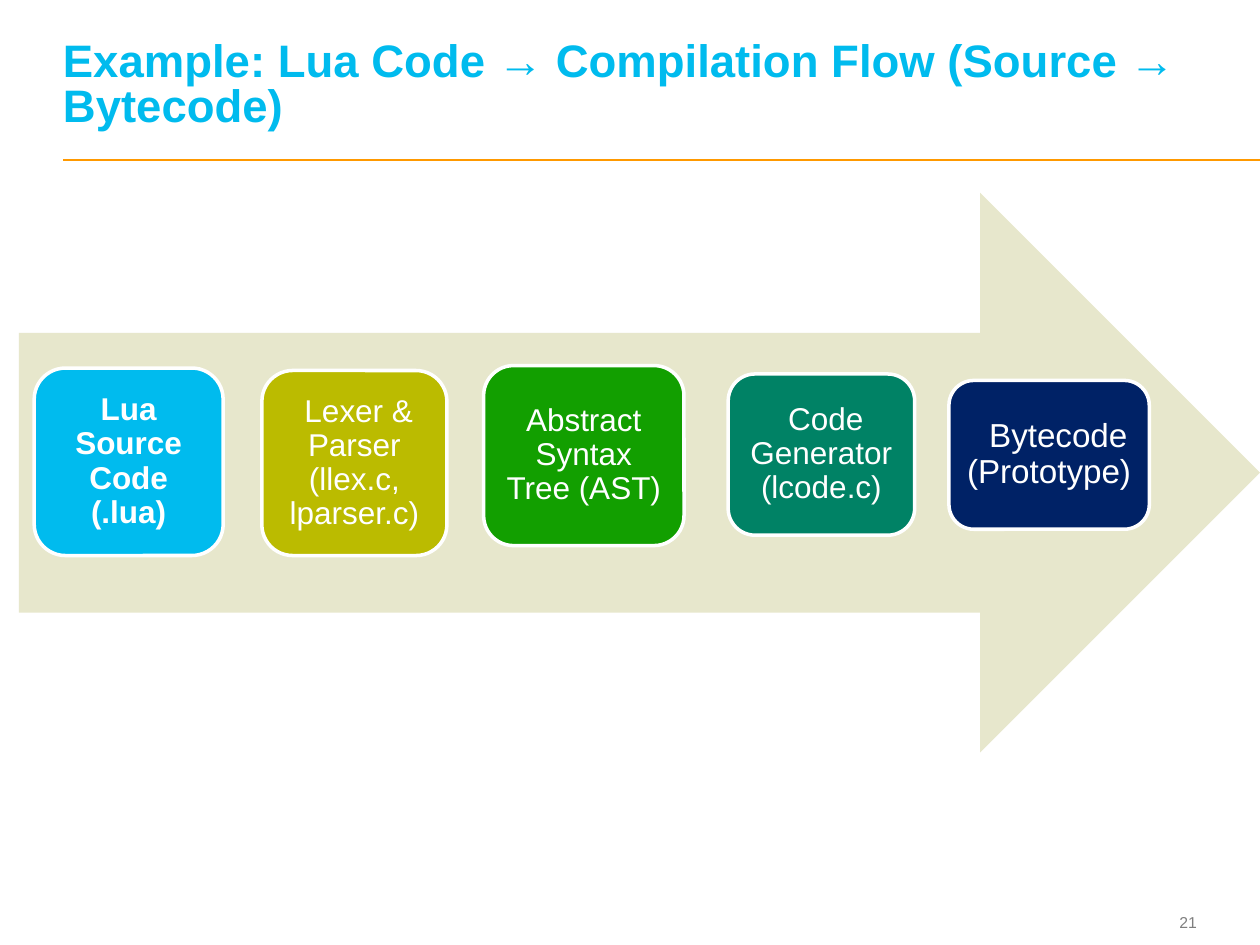
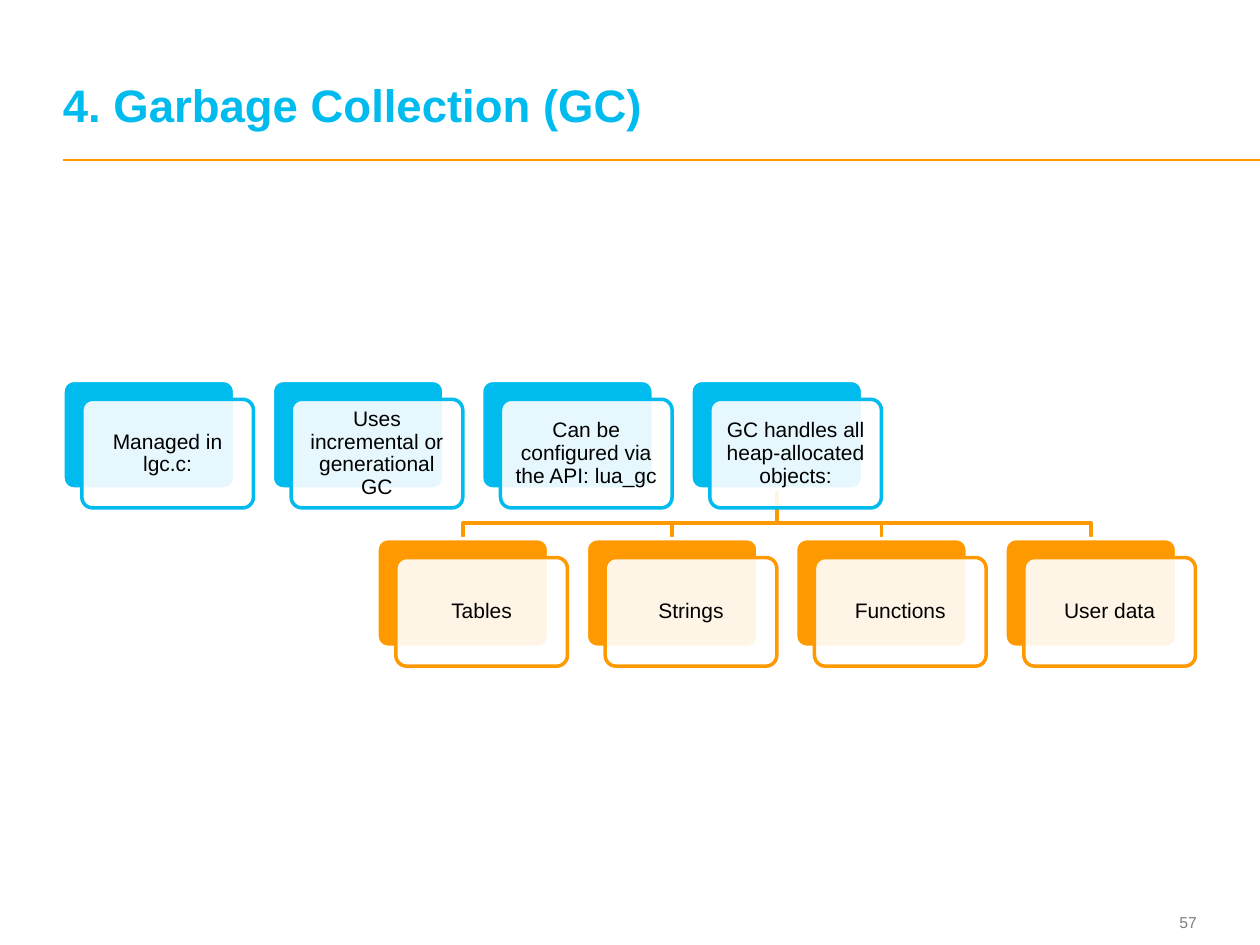
"""Build two slides on Lua: the compilation flow and the garbage collector."""

from dataclasses import dataclass
from typing import NamedTuple

from lxml.etree import SubElement
from pptx import Presentation
from pptx.dml.color import RGBColor
from pptx.enum.shapes import MSO_CONNECTOR, MSO_SHAPE
from pptx.enum.text import MSO_ANCHOR as Anchor, PP_ALIGN as Align
from pptx.oxml.ns import qn
from pptx.util import Cm, Pt


@dataclass(frozen=True)
class Theme:
    font: str = "Arial"
    cyan: str = "00BBEE"
    orange: str = "FF9900"
    sand: str = "E7E7CC"
    olive: str = "BBBB00"
    green: str = "129F00"
    teal: str = "008265"
    navy: str = "002266"
    white: str = "FFFFFF"
    black: str = "000000"
    grey: str = "7F7F7F"
    title_size: float = 26
    stage_size: float = 18
    last_stage_size: float = 19
    card_size: float = 12
    number_size: float = 9
    rule_width: float = 1
    outline_width: float = 2


THEME = Theme()


class Frame(NamedTuple):
    left: float
    top: float
    width: float
    height: float

    def lengths(self):
        return [Cm(value) for value in self]


class Stage(NamedTuple):
    text: str
    frame: Frame
    fill: str
    inset: float = 0.18
    indent: float = 0
    size: float = THEME.stage_size
    bold: bool = False


class CardRow(NamedTuple):
    left: float
    top: float
    color: str
    labels: tuple[str, ...]

    def frame(self, index: int) -> Frame:
        return Frame(self.left + index * CARD_PITCH, self.top, CARD_WIDTH, CARD_HEIGHT)


PAGE_WIDTH, PAGE_HEIGHT = 25.4, 19.05
MARGIN = 1.27
RULE_TOP = 3.23
TITLE_FRAME = Frame(MARGIN, 0.48, 22.78, 2.18)
NUMBER_FRAME = Frame(22.63, 18.24, 1.5, 0.69)
ARROW_FRAME = Frame(0.38, 3.89, 25.02, 11.28)

STAGES = (
    Stage("Lua Source Code (.lua)", Frame(0.69, 7.42, 3.81, 3.78), THEME.cyan,
          inset=0.51, bold=True),
    Stage("Lexer & Parser (llex.c, lparser.c)", Frame(5.28, 7.47, 3.73, 3.73),
          THEME.olive, indent=5),
    Stage("Abstract Syntax Tree (AST)", Frame(9.75, 7.37, 4.04, 3.63), THEME.green),
    Stage("Code Generator (lcode.c)", Frame(14.68, 7.54, 3.76, 3.25), THEME.teal, indent=5),
    Stage("Bytecode (Prototype)", Frame(19.13, 7.67, 4.04, 3), THEME.navy,
          inset=0.2, indent=10.5, size=THEME.last_stage_size),
)

CARD_WIDTH, CARD_HEIGHT = 3.46, 2.19
CARD_PITCH = 4.22
CARD_SHIFT = 0.38
CARD_CORNER = 0.1
CARD_OPACITY = 90
BRANCH_BEND = 10.54

FACTS = CardRow(MARGIN, 7.67, THEME.cyan, (
    "Managed in lgc.c:",
    "Uses incremental or generational GC",
    "Can be configured via the API: lua_gc",
    "GC handles all heap-allocated objects:",
))
OBJECTS = CardRow(MARGIN + 1.5 * CARD_PITCH, 10.86, THEME.orange,
                  ("Tables", "Strings", "Functions", "User data"))


def rgb(color: str) -> RGBColor:
    return RGBColor.from_string(color)


def write(box, text: str, *, size: float, color: str, bold: bool = False,
          align=Align.CENTER, anchor=Anchor.MIDDLE, spacing=0.9,
          inset: float = 0, indent: float = 0) -> None:
    frame = box.text_frame
    frame.word_wrap = True
    frame.vertical_anchor = anchor
    frame.margin_left = frame.margin_right = Cm(inset)
    frame.margin_top = frame.margin_bottom = Cm(inset)
    para = frame.paragraphs[0]
    para.alignment = align
    para.line_spacing = spacing
    if indent:
        para._p.get_or_add_pPr().set("indent", str(Pt(indent)))
    span = para.add_run()
    span.text = text
    span.font.name = THEME.font
    span.font.size = Pt(size)
    span.font.bold = bold
    span.font.color.rgb = rgb(color)


def outline(shape, color: str, width: float = THEME.outline_width) -> None:
    shape.line.color.rgb = rgb(color)
    shape.line.width = Pt(width)


def add_block(page, kind, frame: Frame, fill: str, *, line: str | None = None,
              corner: float | None = None, opacity: int = 100):
    shape = page.shapes.add_shape(kind, *frame.lengths())
    shape.shadow.inherit = False
    shape.fill.solid()
    shape.fill.fore_color.rgb = rgb(fill)
    if opacity < 100:
        color = shape._element.spPr.find(f"{qn('a:solidFill')}/{qn('a:srgbClr')}")
        SubElement(color, qn("a:alpha"), val=str(opacity * 1000))
    if line:
        outline(shape, line)
    else:
        shape.line.fill.background()
    if corner is not None:
        shape.adjustments[0] = corner
    return shape


def add_page(deck, title: str, number: int):
    page = deck.slides.add_slide(deck.slide_layouts[6])
    rule = page.shapes.add_connector(
        MSO_CONNECTOR.STRAIGHT, Cm(MARGIN), Cm(RULE_TOP), Cm(PAGE_WIDTH), Cm(RULE_TOP))
    outline(rule, THEME.orange, THEME.rule_width)
    SubElement(rule._element.spPr, qn("a:effectLst"))
    write(page.shapes.add_textbox(*NUMBER_FRAME.lengths()), str(number),
          size=THEME.number_size, color=THEME.grey, align=Align.RIGHT, spacing=1.0)
    write(page.shapes.add_textbox(*TITLE_FRAME.lengths()), title,
          size=THEME.title_size, color=THEME.cyan, bold=True, align=Align.LEFT,
          anchor=Anchor.BOTTOM, spacing=Pt(THEME.title_size))
    return page


def add_stage(page, stage: Stage) -> None:
    box = add_block(page, MSO_SHAPE.ROUNDED_RECTANGLE, stage.frame, stage.fill,
                    line=THEME.white)
    write(box, stage.text, size=stage.size, color=THEME.white, bold=stage.bold,
          inset=stage.inset, indent=stage.indent)


def add_card(page, text: str, frame: Frame, color: str) -> None:
    add_block(page, MSO_SHAPE.ROUNDED_RECTANGLE, frame, color,
              line=THEME.white, corner=CARD_CORNER)
    front = frame._replace(left=frame.left + CARD_SHIFT, top=frame.top + CARD_SHIFT)
    box = add_block(page, MSO_SHAPE.ROUNDED_RECTANGLE, front, THEME.white,
                    line=color, corner=CARD_CORNER, opacity=CARD_OPACITY)
    write(box, text, size=THEME.card_size, color=THEME.black, inset=0.13)


def add_branch(page, parent: Frame, child: Frame) -> None:
    start = parent.left + parent.width / 2
    end = child.left + child.width / 2
    builder = page.shapes.build_freeform(Cm(start), Cm(parent.top + parent.height))
    corners = ((start, BRANCH_BEND), (end, BRANCH_BEND), (end, child.top))
    builder.add_line_segments([(Cm(x), Cm(y)) for x, y in corners], close=False)
    branch = builder.convert_to_shape()
    branch.shadow.inherit = False
    branch.fill.background()
    outline(branch, THEME.orange)


def build_compilation(deck) -> None:
    page = add_page(deck, "Example: Lua Code → Compilation Flow (Source → Bytecode)", 21)
    add_block(page, MSO_SHAPE.RIGHT_ARROW, ARROW_FRAME, THEME.sand)
    for stage in STAGES:
        add_stage(page, stage)


def build_collection(deck) -> None:
    page = add_page(deck, "4. Garbage Collection (GC)", 57)
    parent = FACTS.frame(len(FACTS.labels) - 1)
    for index in range(len(OBJECTS.labels)):
        add_branch(page, parent, OBJECTS.frame(index))
    for row in (FACTS, OBJECTS):
        for index, label in enumerate(row.labels):
            add_card(page, label, row.frame(index), row.color)


def main() -> None:
    deck = Presentation()
    deck.slide_width, deck.slide_height = Cm(PAGE_WIDTH), Cm(PAGE_HEIGHT)
    build_compilation(deck)
    build_collection(deck)
    deck.save("out.pptx")


if __name__ == "__main__":
    main()
